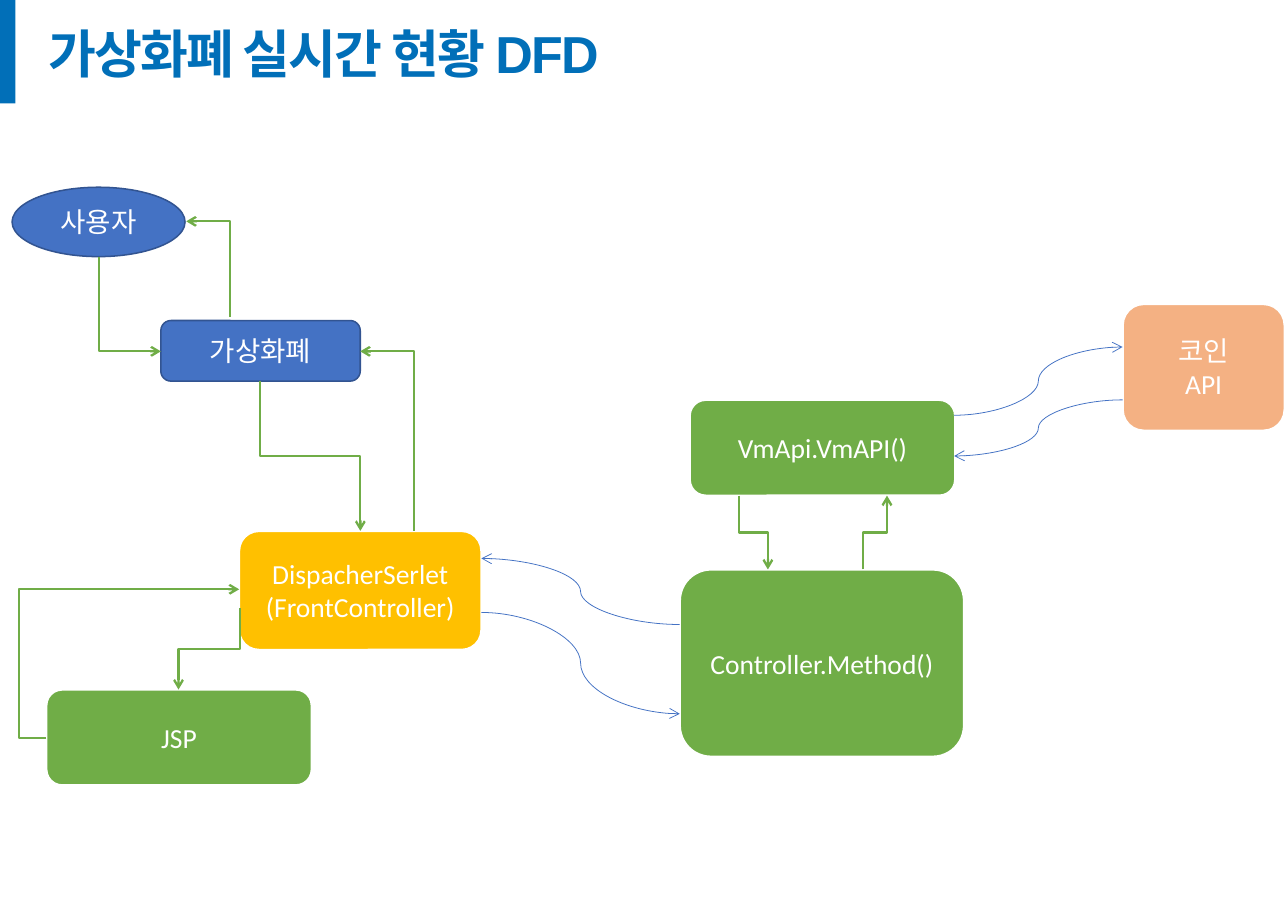
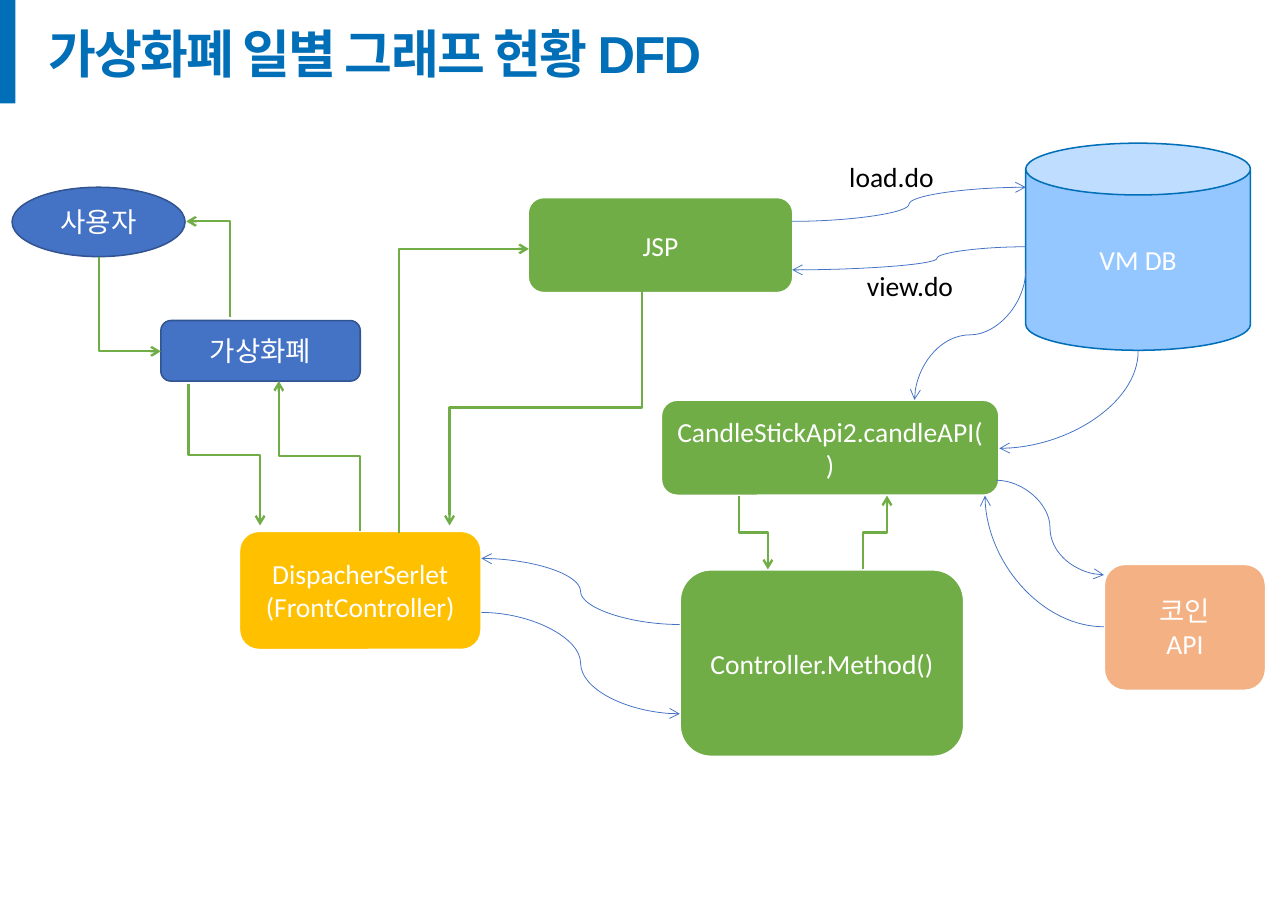
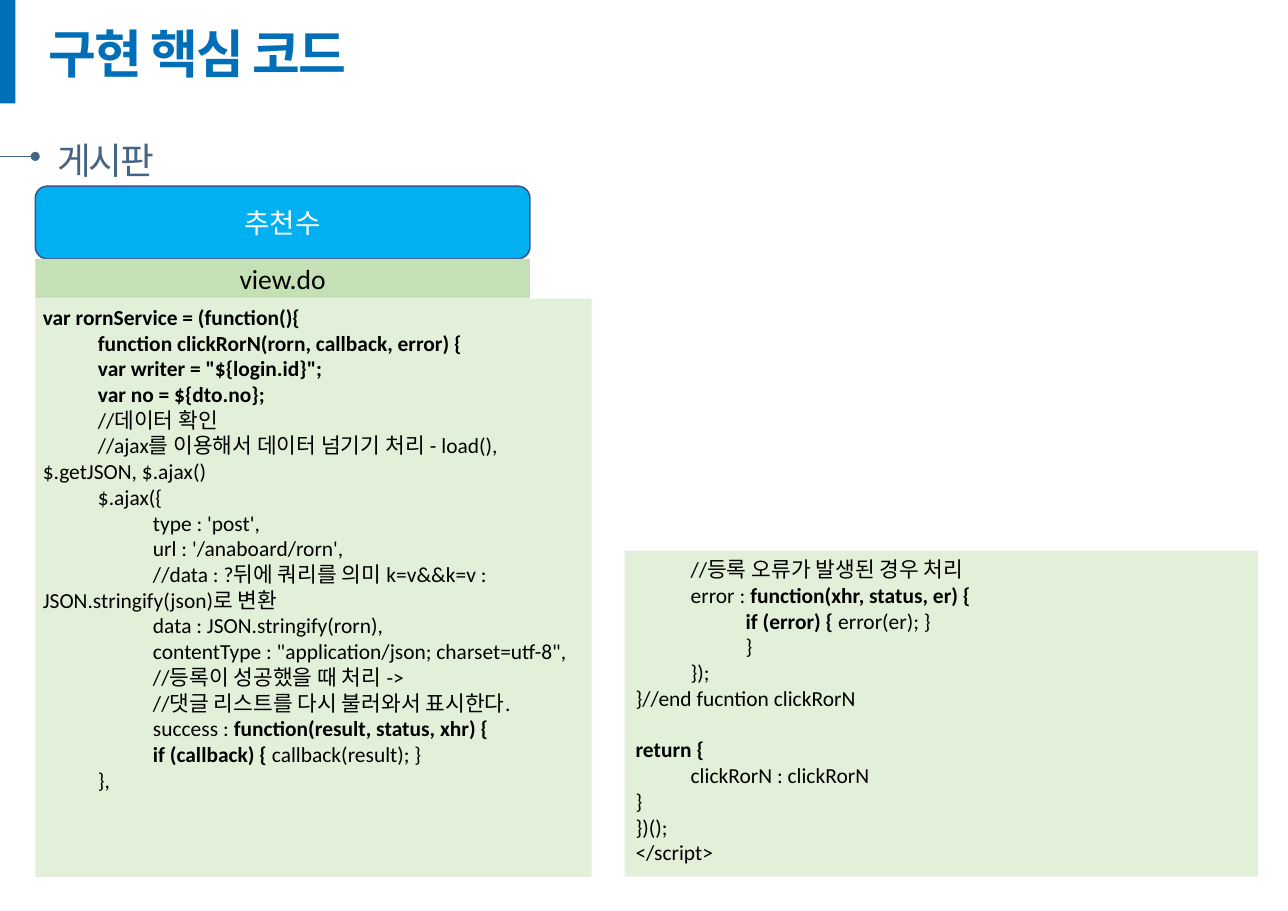
from lxml import etree
from pptx import Presentation
from pptx.dml.color import RGBColor
from pptx.enum.shapes import MSO_CONNECTOR, MSO_SHAPE
from pptx.enum.text import MSO_ANCHOR, PP_ALIGN
from pptx.oxml.ns import qn
from pptx.util import Inches, Pt

ROUND, RECT = MSO_SHAPE.ROUNDED_RECTANGLE, MSO_SHAPE.RECTANGLE
OVAL, CAN = MSO_SHAPE.OVAL, MSO_SHAPE.CAN
ELBOW, CURVE, STRAIGHT = MSO_CONNECTOR.ELBOW, MSO_CONNECTOR.CURVE, MSO_CONNECTOR.STRAIGHT
MIDDLE, TOP = MSO_ANCHOR.MIDDLE, MSO_ANCHOR.TOP
CENTER, LEFT = PP_ALIGN.CENTER, PP_ALIGN.LEFT

BRAND = RGBColor(0x01, 0x6F, 0xB8)
WHITE = RGBColor(0xFF, 0xFF, 0xFF)
BLACK = RGBColor(0x00, 0x00, 0x00)
BLUE = RGBColor(0x44, 0x72, 0xC4)
NAVY = RGBColor(0x32, 0x54, 0x91)
GREEN = RGBColor(0x70, 0xAD, 0x47)
AMBER = RGBColor(0xFF, 0xC0, 0x00)
PEACH = RGBColor(0xF4, 0xB1, 0x83)
SKY = RGBColor(0x94, 0xC7, 0xFF)
CYAN = RGBColor(0x00, 0xB0, 0xF0)
SLATE = RGBColor(0x44, 0x66, 0x84)
CODE_FILL = RGBColor(0xE2, 0xF0, 0xD9)
CODE_HEAD = RGBColor(0xC5, 0xE0, 0xB4)
LATIN, KOREAN = "Calibri", "Noto Sans CJK KR"


def add_box(slide, kind, at, text="", fill=None, line=None, line_width=1.5, size=18,
            color=WHITE, font=LATIN, bold=False, align=CENTER, anchor=MIDDLE, spacing=0):
    """Add a shape, or a text box when kind is None; **marks** switch bold on."""
    place = [Inches(value) for value in at]
    if kind is None:
        shape = slide.shapes.add_textbox(*place)
    else:
        shape = slide.shapes.add_shape(kind, *place)
        shape.shadow.inherit = False
        shape.fill.solid()
        shape.fill.fore_color.rgb = fill
        if line is None:
            shape.line.fill.background()
        else:
            shape.line.color.rgb = line
            shape.line.width = Pt(line_width)
    frame = shape.text_frame
    frame.word_wrap = True
    frame.vertical_anchor = anchor
    for number, content in enumerate(text.split("\n") if text else []):
        paragraph = frame.paragraphs[0] if number == 0 else frame.add_paragraph()
        paragraph.alignment = align
        for part, words in enumerate(content.split("**")):
            if not words:
                continue
            run = paragraph.add_run()
            run.text = words
            run.font.size = Pt(size)
            run.font.bold = bold or part % 2 == 1
            run.font.color.rgb = color
            run.font.name = font
            properties = run._r.get_or_add_rPr()
            etree.SubElement(properties, qn("a:ea")).set("typeface", KOREAN)
            if spacing:
                properties.set("spc", str(round(spacing * 100)))
    return shape


def add_arrow(slide, kind, start, end, color, width, bends=3, vertical=False,
              adjust=None, tip="arrow"):
    """Add a connector; vertical means that it leaves its start up or down."""
    (x1, y1), (x2, y2) = start, end
    rotation = 0
    if vertical:
        # Lay the path out sideways round its centre, then turn it
        dx, dy = x2 - x1, y2 - y1
        rotation = 270 if dx * dy > 0 else 90
        across, down = (-dy, dx) if rotation == 270 else (dy, -dx)
        middle_x, middle_y = (x1 + x2) / 2, (y1 + y2) / 2
        x1, x2 = middle_x - across / 2, middle_x + across / 2
        y1, y2 = middle_y - down / 2, middle_y + down / 2
    connector = slide.shapes.add_connector(kind, Inches(x1), Inches(y1), Inches(x2), Inches(y2))
    connector.line.color.rgb = color
    connector.line.width = Pt(width)
    properties = connector._element.spPr
    if rotation:
        properties.find(qn("a:xfrm")).set("rot", str(rotation * 60000))
    geometry = properties.find(qn("a:prstGeom"))
    if bends == 2:
        geometry.set("prst", geometry.get("prst").replace("3", "2"))
    if adjust is not None:
        guide = etree.SubElement(geometry.find(qn("a:avLst")), qn("a:gd"))
        guide.set("name", "adj1")
        guide.set("fmla", f"val {round(adjust * 100000)}")
    outline = properties.find(qn("a:ln"))
    etree.SubElement(outline, qn("a:tailEnd")).set("type", tip)
    etree.SubElement(properties, qn("a:effectLst"))


presentation = Presentation()
presentation.slide_width = Inches(11.69)
presentation.slide_height = Inches(8.27)

# Band and title on every slide
slides = []
for title in ["가상화폐 실시간 현황 DFD", "가상화폐 일별 그래프 현황 DFD", "구현 핵심 코드"]:
    slide = presentation.slides.add_slide(presentation.slide_layouts[6])
    add_box(slide, RECT, (0, 0, 0.14, 0.94), fill=BRAND)
    heading = add_box(slide, None, (0.34, 0.2, 10, 0.62), title, size=34, color=BRAND,
                      font="Arial", bold=True, align=LEFT, spacing=-1.1)
    heading.text_frame.paragraphs[0].line_spacing = 0.9
    slides.append(slide)

# Boxes: kind, place, text, fill, line, line width
shared_boxes = [
    (ROUND, (2.17, 4.82, 2.2, 1.08), "DispacherSerlet\n(FrontController)", AMBER, WHITE, 1.5),
    (ROUND, (1.46, 2.91, 1.81, 0.55), "가상화폐", BLUE, NAVY, 1),
    (OVAL, (0.11, 1.7, 1.57, 0.63), "사용자", BLUE, NAVY, 1),
    (ROUND, (6.17, 5.17, 2.58, 1.7), "Controller.Method()", GREEN, WHITE, 1.5),
]
realtime_boxes = [
    (ROUND, (0.42, 6.26, 2.41, 0.87), "JSP", GREEN, WHITE, 1.5),
    (ROUND, (10.19, 2.76, 1.47, 1.15), "코인\nAPI", PEACH, WHITE, 1.5),
    (ROUND, (6.26, 3.63, 2.41, 0.87), "VmApi.VmAPI()", GREEN, WHITE, 1.5),
]
daily_boxes = [
    (ROUND, (4.79, 1.79, 2.41, 0.87), "JSP", GREEN, WHITE, 1.5),
    (ROUND, (10.02, 5.12, 1.47, 1.15), "코인\nAPI", PEACH, WHITE, 1.5),
    (ROUND, (6, 3.63, 3.07, 0.87), "CandleStickApi2.candleAPI()", GREEN, WHITE, 1.5),
    (CAN, (9.31, 1.3, 2.04, 1.88), "VM DB", SKY, BRAND, 1),
]

# Arrows: kind, start, end, bends, leaves vertically, position of the middle bend
shared_arrows = [
    (ELBOW, (0.9, 2.33), (1.46, 3.19), 2, True, None),
    (ELBOW, (2.09, 2.88), (1.69, 2.01), 2, True, None),
    (CURVE, (6.17, 5.67), (4.37, 5.07), 3, False, 0.5),
    (CURVE, (4.37, 5.56), (6.17, 6.48), 3, False, 0.5),
    (ELBOW, (7.83, 5.17), (8.05, 4.5), 3, True, 0.5),
    (ELBOW, (6.71, 4.5), (6.97, 5.17), 3, True, 0.5),
]
realtime_arrows = [
    (ELBOW, (3.76, 4.82), (3.27, 3.19), 2, True, None),
    (ELBOW, (2.36, 3.46), (3.27, 4.82), 3, True, 0.5),
    (ELBOW, (2.18, 5.52), (1.62, 6.26), 3, True, 0.5),
    (ELBOW, (0.42, 6.7), (2.17, 5.35), 3, False, -0.14),
    (CURVE, (10.19, 3.63), (8.66, 4.14), 3, False, 0.5),
    (CURVE, (8.66, 3.77), (10.19, 3.15), 3, False, 0.5),
]
daily_arrows = [
    (ELBOW, (3.27, 4.82), (2.53, 3.46), 3, True, 0.5),
    (ELBOW, (1.71, 3.49), (2.36, 4.77), 3, True, 0.5),
    (ELBOW, (3.62, 4.84), (4.8, 2.26), 2, True, None),
    (ELBOW, (5.83, 2.63), (4.08, 4.77), 3, True, 0.5),
    (CURVE, (10.02, 5.69), (8.94, 4.5), 2, False, None),
    (CURVE, (9.04, 4.36), (10.02, 5.22), 3, False, 0.5),
    (CURVE, (10.33, 3.19), (9.07, 4.07), 2, True, None),
    (CURVE, (9.31, 2.45), (8.3, 3.63), 3, True, 0.5),
    (CURVE, (7.19, 2.01), (9.31, 1.7), 3, False, 0.5),
    (CURVE, (9.31, 2.24), (7.19, 2.45), 3, False, 0.38),
]

# Data flow diagrams
arrow_styles = {ELBOW: (GREEN, 1.5), CURVE: (BLUE, 0.5)}
diagrams = [(realtime_boxes, realtime_arrows), (daily_boxes, daily_arrows)]
for slide, (boxes, arrows) in zip(slides, diagrams):
    for box in shared_boxes + boxes:
        add_box(slide, *box)
    for kind, start, end, bends, vertical, adjust in shared_arrows + arrows:
        add_arrow(slide, kind, start, end, *arrow_styles[kind], bends, vertical, adjust)
for at, label in [((7.61, 1.4, 1.2, 0.4), "load.do"), ((7.77, 2.39, 1.2, 0.4), "view.do")]:
    add_box(slides[1], None, at, label, color=BLACK, align=LEFT, anchor=TOP)

# Code slide: section heading and captions
slide = slides[2]
add_box(slide, None, (0.42, 1.2, 2, 0.5), "게시판", size=24, color=SLATE, font=KOREAN,
        align=LEFT, anchor=TOP, spacing=-1.5)
add_arrow(slide, STRAIGHT, (0, 1.42), (0.32, 1.42), SLATE, 0.5, tip="oval")
add_box(slide, ROUND, (0.32, 1.69, 4.49, 0.66), "추천수", CYAN, NAVY, 1)
add_box(slide, RECT, (0.32, 2.35, 4.49, 0.36), "view.do", CODE_HEAD, color=BLACK)

# Code slide: listings
first_code = """**var rornService = (function(){**
**\tfunction clickRorN(rorn, callback, error) {**
**\tvar writer = "${login.id}";**
**\tvar no = ${dto.no};**
\t//데이터 확인
\t//ajax를 이용해서 데이터 넘기기 처리 - load(), \t$.getJSON, $.ajax()
\t$.ajax({
\t\ttype : 'post',
\t\turl : '/anaboard/rorn',
\t\t//data : ?뒤에 쿼리를 의미 k=v&&k=v : \t\t\t\tJSON.stringify(json)로 변환
\t\tdata : JSON.stringify(rorn),
\t\tcontentType : "application/json; charset=utf-8",
\t\t//등록이 성공했을 때 처리 ->
\t\t//댓글 리스트를 다시 불러와서 표시한다.
\t\tsuccess : **function(result, status, xhr) {**
**\t\tif (callback) { **callback(result); }
\t},"""
second_code = """\t//등록 오류가 발생된 경우 처리
\terror : **function(xhr, status, er) {**
**\t\tif (error) { **error(er); }
\t\t}
\t});
}//end fucntion clickRorN
**return {**
\tclickRorN : clickRorN
}
})();
</script>"""
listings = [
    ((0.32, 2.71, 5.05, 5.25), (0.29, 2.71, 5.38, 4.58), first_code),
    ((5.67, 5, 5.75, 2.96), (5.67, 5, 5.82, 3), second_code),
]
for panel, at, code in listings:
    add_box(slide, RECT, panel, fill=CODE_FILL)
    listing = add_box(slide, None, at, code, size=14, color=BLACK, align=LEFT, anchor=TOP)
    for paragraph in listing.text_frame.paragraphs:
        if paragraph.text == "return {":
            paragraph.space_before = Pt(17)

presentation.save("out.pptx")
